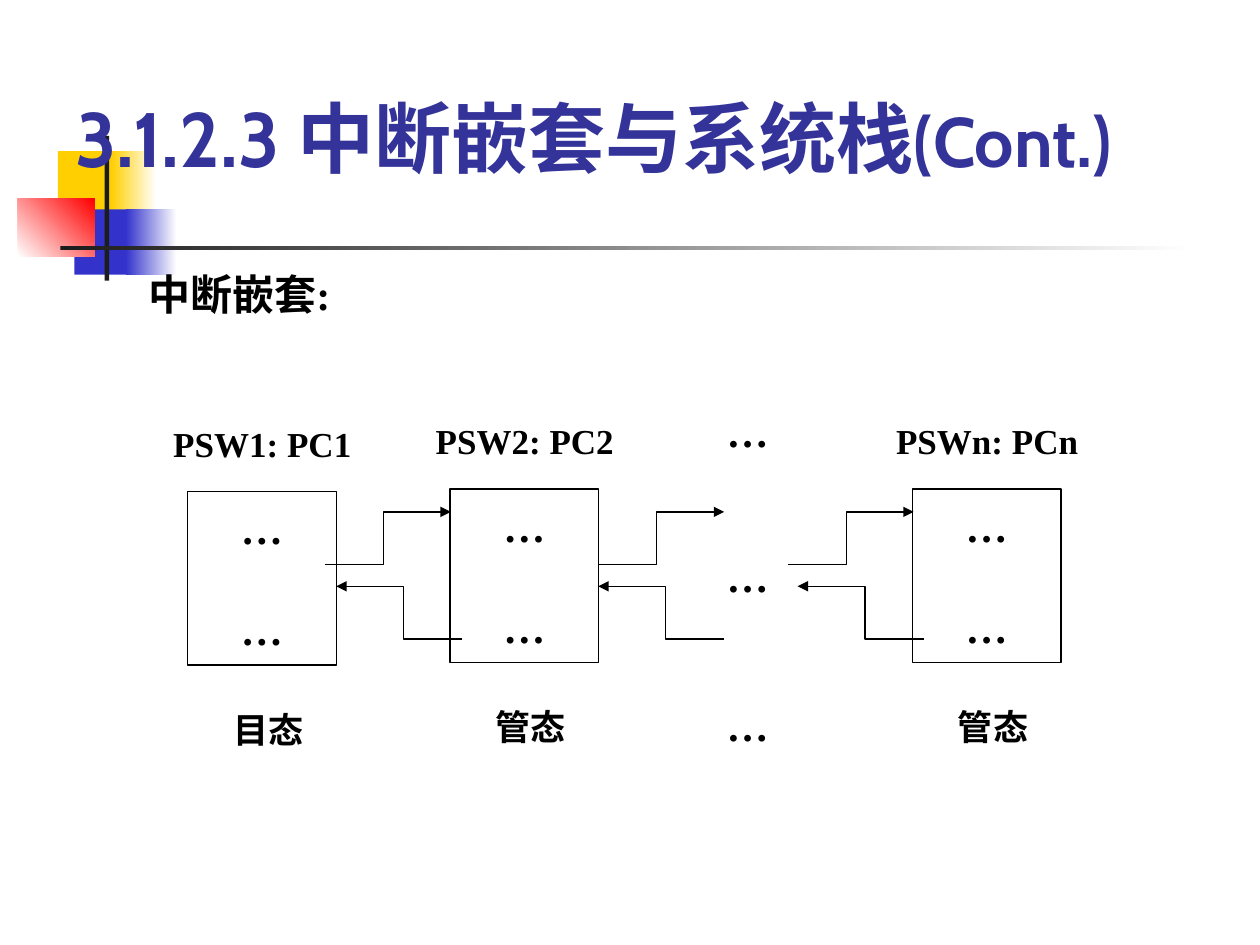
from lxml import etree
from pptx import Presentation
from pptx.dml.color import RGBColor
from pptx.enum.shapes import MSO_SHAPE
from pptx.enum.text import MSO_ANCHOR, PP_ALIGN
from pptx.oxml.ns import qn
from pptx.util import Cm, Pt

RECTANGLE = MSO_SHAPE.RECTANGLE
LEFT, CENTER = PP_ALIGN.LEFT, PP_ALIGN.CENTER
TOP, MIDDLE, BOTTOM = MSO_ANCHOR.TOP, MSO_ANCHOR.MIDDLE, MSO_ANCHOR.BOTTOM

COLORS = {
    "yellow": "FFCF01",
    "blue": "3333CC",
    "red": "FF0000",
    "dark": "1C1C1C",
    "title": "333399",
    "black": "000000",
    "white": "FFFFFF",
}


def rgb(name):
    return RGBColor.from_string(COLORS[name])


class SlideBuilder:
    body_font = "Times New Roman"
    title_font = "Cabin"
    line_width = Pt(0.75)

    def __init__(self, slide):
        self.slide = slide

    def style_run(self, run, size, font, color):
        run.font.size = Pt(size)
        run.font.name = font
        run.font.bold = True
        run.font.color.rgb = rgb(color)

    def block(self, x, y, width, height, color):
        block = self.slide.shapes.add_shape(
            RECTANGLE, Cm(x), Cm(y), Cm(width), Cm(height))
        block.shadow.inherit = False
        block.fill.solid()
        block.fill.fore_color.rgb = rgb(color)
        block.line.fill.background()
        return block

    def fade(self, x, y, width, height, start, end, angle=0):
        fade = self.block(x, y, width, height, start)
        fade.fill.gradient()
        fade.fill.gradient_angle = angle
        for stop, color in zip(fade.fill.gradient_stops, (start, end)):
            stop.color.rgb = rgb(color)

    def text(self, x, y, width, height, content, size, align=LEFT):
        frame = self.slide.shapes.add_textbox(
            Cm(x), Cm(y), Cm(width), Cm(height)).text_frame
        frame.word_wrap = True
        frame.vertical_anchor = TOP
        frame.text = content
        paragraph = frame.paragraphs[0]
        paragraph.alignment = align
        self.style_run(paragraph.runs[0], size, self.body_font, "black")

    def title(self, x, y, width, height, parts):
        frame = self.slide.shapes.add_textbox(
            Cm(x), Cm(y), Cm(width), Cm(height)).text_frame
        frame.word_wrap = True
        frame.vertical_anchor = BOTTOM
        for content, size in parts:
            run = frame.paragraphs[0].add_run()
            run.text = content
            self.style_run(run, size, self.title_font, "title")

    def program(self, x, y, width, height):
        program = self.block(x, y, width, height, "white")
        program.line.color.rgb = rgb("black")
        program.line.width = self.line_width
        frame = program.text_frame
        frame.word_wrap = False
        frame.vertical_anchor = MIDDLE
        frame.text = "…\n…"
        for paragraph in frame.paragraphs:
            paragraph.alignment = CENTER
            self.style_run(paragraph.runs[0], 24, self.body_font, "black")
        frame.paragraphs[1].space_before = Pt(29)

    def elbow_arrow(self, x, y, reach, bend, rise):
        builder = self.slide.shapes.build_freeform(Cm(x), Cm(y))
        builder.add_line_segments([
            (Cm(x + bend), Cm(y)),
            (Cm(x + bend), Cm(y - rise)),
            (Cm(x + reach), Cm(y - rise)),
        ], close=False)
        arrow = builder.convert_to_shape()
        arrow.shadow.inherit = False
        arrow.fill.background()
        arrow.line.color.rgb = rgb("black")
        arrow.line.width = self.line_width
        outline = arrow.line._get_or_add_ln()
        etree.SubElement(outline, qn("a:tailEnd"), type="triangle")


def main():
    presentation = Presentation()
    presentation.slide_width, presentation.slide_height = Cm(25.4), Cm(19.05)
    page = SlideBuilder(
        presentation.slides.add_slide(presentation.slide_layouts[6]))

    page.block(1.17, 3.05, 1.22, 1.32, "yellow")
    page.fade(2.24, 3.05, 0.91, 1.32, "yellow", "white")
    page.block(1.5, 4.22, 1.17, 1.32, "blue")
    page.fade(2.54, 4.22, 1.02, 1.32, "blue", "white")
    page.fade(0.36, 4.01, 1.55, 1.17, "white", "red", angle=45)
    page.block(2.11, 2.74, 0.09, 2.92, "dark")
    page.fade(1.22, 4.95, 22.86, 0.09, "dark", "white")

    page.title(1.27, 1.27, 23.29, 2.54,
               [("3.1.2.3 中断嵌套与系统栈", 44), ("(Cont.)", 40)])
    page.text(2.74, 5.28, 15.04, 1.27, "中断嵌套:", 24)

    programs = [
        (3.78, 9.91, "PSW1: PC1", "目态"),
        (9.07, 9.86, "PSW2: PC2", "管态"),
        (18.39, 9.86, "PSWn: PCn", "管态"),
    ]
    for x, y, registers, mode in programs:
        page.program(x, y, 3, 3.5)
        page.text(x + 0.46, y + 4.24, 2.34, 1.12, mode, 20, CENTER)
        page.text(x - 0.61, y - 1.52, 4.24, 1.12, registers, 20, CENTER)

    for y in (8.05, 10.97, 13.97):
        page.text(14.4, y, 1.7, 1.27, "…", 24)

    reach, bend, rise = 2.54, 1.18, 1.06
    for interrupt_x in (6.55, 12.06, 15.88):
        page.elbow_arrow(interrupt_x, 11.38, reach, bend, rise)
    for return_x in (9.32, 14.6, 18.62):
        page.elbow_arrow(return_x, 12.88, -reach, -bend, rise)

    presentation.save("out.pptx")


if __name__ == "__main__":
    main()
